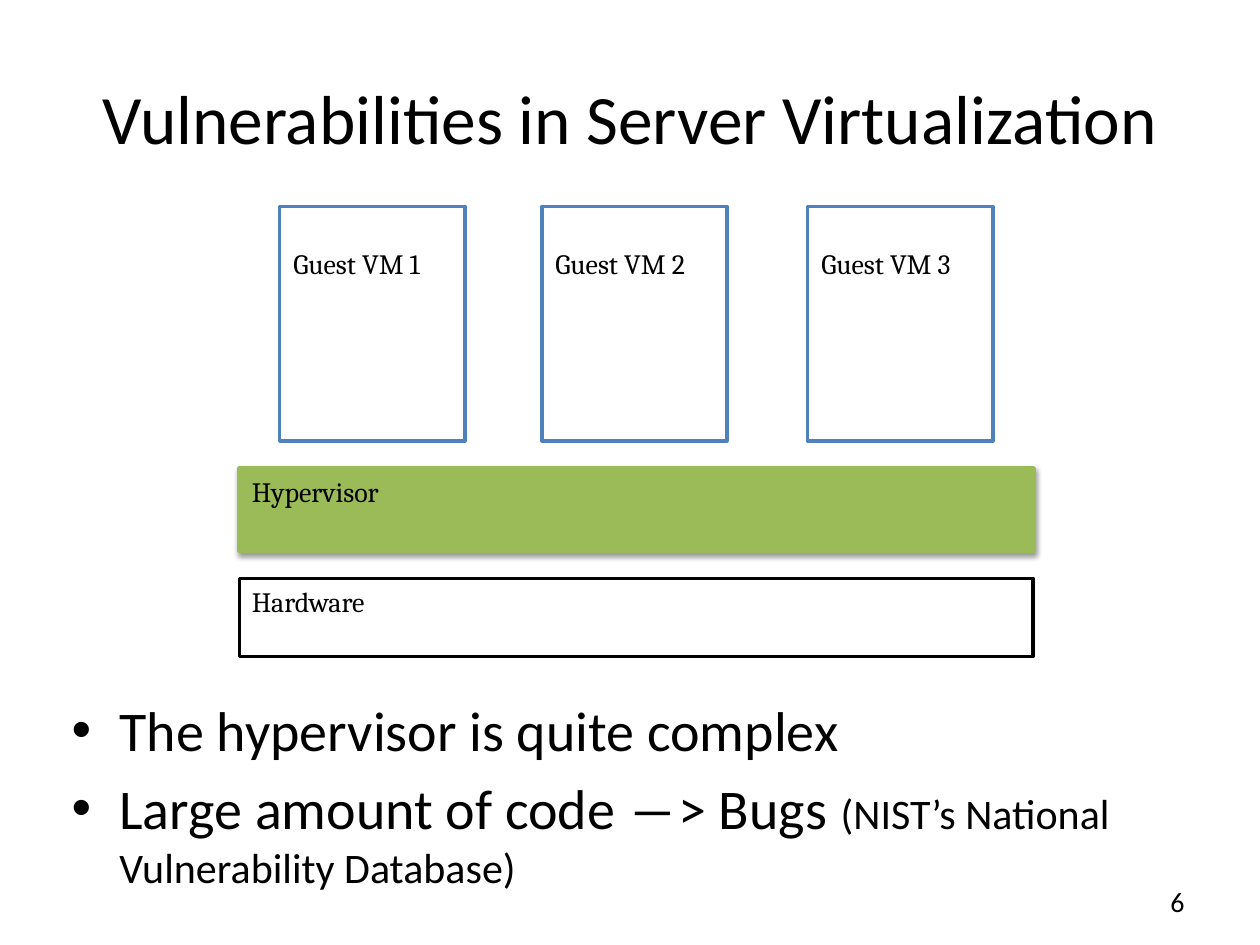
from lxml.etree import SubElement
from pptx import Presentation
from pptx.dml.color import RGBColor
from pptx.enum.shapes import MSO_SHAPE
from pptx.enum.text import MSO_ANCHOR, PP_ALIGN
from pptx.oxml.ns import qn
from pptx.util import Inches, Pt

TITLE = "Vulnerabilities in Server Virtualization"
GUESTS = [("Guest VM 1", 2.22), ("Guest VM 2", 4.3), ("Guest VM 3", 6.41)]
LAYERS = [
    {"text": "Hardware", "place": (1.9, 4.59, 6.3, 0.62), "fill": "FFFFFF", "line": "000000", "width": 2},
    {"text": "Hypervisor", "place": (1.9, 3.72, 6.3, 0.65), "fill": "9BBB59", "line": "9BBB59", "width": 3},
]
BULLETS = [
    [("The hypervisor is quite complex", 32)],
    [("Large amount of code ―> Bugs ", 32), ("(NIST’s National Vulnerability Database)", 24)],
]
PAGE_NUMBER = "6"

LABEL = {"name": "Cambria", "size": Pt(16)}
HEADING = {"name": "Calibri", "size": Pt(39.6)}
NUMBER = {"name": "Calibri", "size": Pt(16)}


def color(value):
    """Turn a hex string into a colour."""
    return RGBColor.from_string(value)


def add_span(para, text, font):
    """Add a black run with the given font values."""
    span = para.add_run()
    span.text = text
    span.font.color.rgb = color("000000")
    for name, value in font.items():
        setattr(span.font, name, value)


def write(shape, text, font, align=PP_ALIGN.LEFT, anchor=MSO_ANCHOR.TOP):
    """Write one paragraph into a shape."""
    frame = shape.text_frame
    frame.word_wrap = True
    frame.vertical_anchor = anchor
    para = frame.paragraphs[0]
    para.alignment = align
    add_span(para, text, font)


def add_box(shapes, place, fill, line, width):
    """Add a filled and outlined rectangle."""
    box = shapes.add_shape(MSO_SHAPE.RECTANGLE, *map(Inches, place))
    box.shadow.inherit = False
    box.fill.solid()
    box.fill.fore_color.rgb = color(fill)
    box.line.color.rgb = color(line)
    box.line.width = Pt(width)
    return box


def add_text(shapes, place, *content):
    """Add a text box with one paragraph."""
    write(shapes.add_textbox(*map(Inches, place)), *content)


def add_shadow(box):
    """Give a box a soft shadow straight below it."""
    effects = box.element.spPr.find(qn("a:effectLst"))
    shadow = SubElement(effects, qn("a:outerShdw"), blurRad=str(Pt(3.1)), dist=str(Pt(1.6)),
                        dir="5400000", rotWithShape="0")
    tint = SubElement(shadow, qn("a:srgbClr"), val="000000")
    SubElement(tint, qn("a:alpha"), val="38000")


def add_bullets(page):
    """Add the bulleted list."""
    body = page.shapes.add_textbox(*map(Inches, (0.47, 5.47, 9.14, 2.03)))
    frame = body.text_frame
    frame.word_wrap = True
    for index, spans in enumerate(BULLETS):
        para = frame.add_paragraph() if index else frame.paragraphs[0]
        para.space_before = Pt(6.4)
        properties = para._p.get_or_add_pPr()
        properties.set("marL", str(Inches(0.38)))
        properties.set("indent", str(Inches(-0.38)))
        SubElement(properties, qn("a:buFont"), typeface="Arial")
        SubElement(properties, qn("a:buChar"), char="•")
        for text, size in spans:
            add_span(para, text, {"name": "Calibri", "size": Pt(size)})


def main():
    """Build the slide and save it."""
    deck = Presentation()
    deck.slide_width, deck.slide_height = Inches(10), Inches(7.5)
    page = deck.slides.add_slide(deck.slide_layouts[6])
    for text, left in GUESTS:
        group = page.shapes.add_group_shape()
        add_box(group.shapes, (left, 1.64, 1.47, 1.86), "FFFFFF", "4F81BD", 2)
        add_text(group.shapes, (left + 0.01, 1.91, 1.52, 0.34), text, LABEL)
    for layer in LAYERS:
        box = add_box(page.shapes, layer["place"], layer["fill"], layer["line"], layer["width"])
        write(box, layer["text"], LABEL)
        if layer["text"] == "Hypervisor":
            add_shadow(box)
    add_text(page.shapes, (0.5, 0.3, 9, 1.25), TITLE, HEADING, PP_ALIGN.CENTER, MSO_ANCHOR.MIDDLE)
    add_bullets(page)
    add_text(page.shapes, (7.17, 6.95, 2.33, 0.4), PAGE_NUMBER, NUMBER, PP_ALIGN.RIGHT, MSO_ANCHOR.MIDDLE)
    deck.save("out.pptx")


if __name__ == "__main__":
    main()
